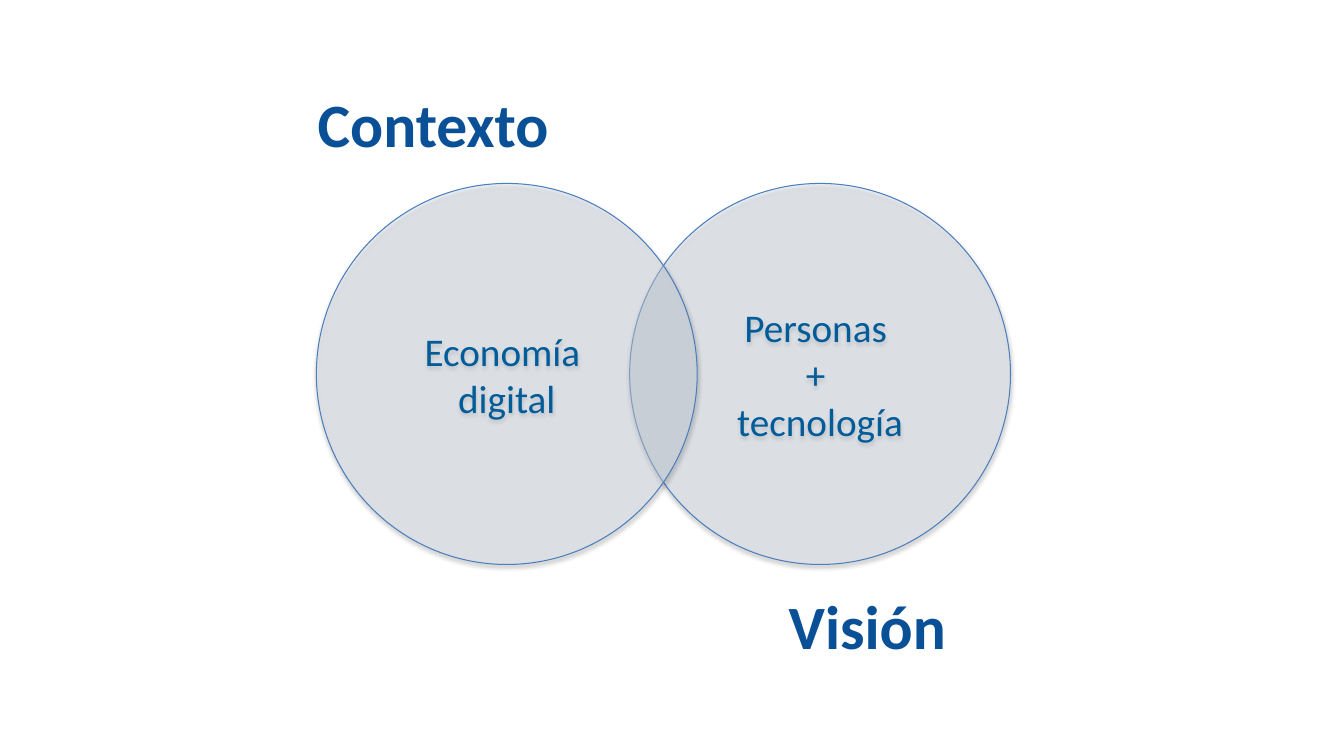
from lxml.etree import SubElement
from pptx import Presentation
from pptx.dml.color import RGBColor
from pptx.enum.shapes import MSO_SHAPE
from pptx.enum.text import MSO_ANCHOR, MSO_AUTO_SIZE, PP_ALIGN
from pptx.oxml import parse_xml
from pptx.oxml.ns import nsdecls, qn
from pptx.util import Inches, Pt

CIRCLE_FILL = RGBColor(0xDC, 0xE6, 0xF2)
CIRCLE_LINE = RGBColor(0x4B, 0x7E, 0xBC)
CIRCLE_TEXT = RGBColor(0x00, 0x5B, 0x99)
HEADING = RGBColor(0x0A, 0x50, 0x97)

DIAMETER = 3.78
CIRCLE_TOP = 1.82
CONTEXT_LEFT = 3.14
VISION_LEFT = 6.25

SHADOW_XML = (
    f'<a:effectLst {nsdecls("a")}>'
    '<a:outerShdw blurRad="39370" dist="22860" dir="5400000" rotWithShape="0">'
    '<a:srgbClr val="000000"><a:alpha val="35000"/></a:srgbClr>'
    '</a:outerShdw></a:effectLst>'
)


def write_lines(shape, lines, size, color, bold=False):
    frame = shape.text_frame
    frame.word_wrap = True
    frame.auto_size = MSO_AUTO_SIZE.NONE
    frame.vertical_anchor = MSO_ANCHOR.MIDDLE
    frame.text = "\n".join(lines)
    for paragraph in frame.paragraphs:
        paragraph.alignment = PP_ALIGN.CENTER
        font = paragraph.font
        font.name = "Calibri"
        font.size = Pt(size)
        font.bold = bold
        font.color.rgb = color


def add_circle(slide, left, top, diameter, lines):
    """Add a translucent circle of the Venn diagram with a soft shadow."""
    circle = slide.shapes.add_shape(
        MSO_SHAPE.OVAL, Inches(left), Inches(top), Inches(diameter), Inches(diameter)
    )
    circle.fill.solid()
    circle.fill.fore_color.rgb = CIRCLE_FILL
    properties = circle.element.spPr
    fill_color = properties.find(qn("a:solidFill")).find(qn("a:srgbClr"))
    SubElement(fill_color, qn("a:alpha")).set("val", "40000")
    circle.line.color.rgb = CIRCLE_LINE
    circle.line.width = Pt(0.75)
    properties.append(parse_xml(SHADOW_XML))
    write_lines(circle, lines, 28, CIRCLE_TEXT)


def format_heading(shape, left, top, text):
    shape.left, shape.top = Inches(left), Inches(top)
    shape.width, shape.height = Inches(3.9), Inches(0.74)
    write_lines(shape, [text], 44, HEADING, bold=True)


def build_venn_slide(presentation):
    slide = presentation.slides.add_slide(presentation.slide_layouts[5])
    add_circle(slide, VISION_LEFT, CIRCLE_TOP, DIAMETER,
               ["Personas ", "+ ", "tecnología"])
    format_heading(slide.shapes.title, 2.35, 0.85, "Contexto")
    add_circle(slide, CONTEXT_LEFT, CIRCLE_TOP, DIAMETER,
               ["Economía ", "digital"])
    vision_heading = slide.shapes.add_textbox(0, 0, 0, 0)
    format_heading(vision_heading, 6.66, 5.83, "Visión")


def main():
    presentation = Presentation()
    presentation.slide_width = Inches(13.34)
    presentation.slide_height = Inches(7.5)
    build_venn_slide(presentation)
    presentation.save("out.pptx")


if __name__ == "__main__":
    main()
